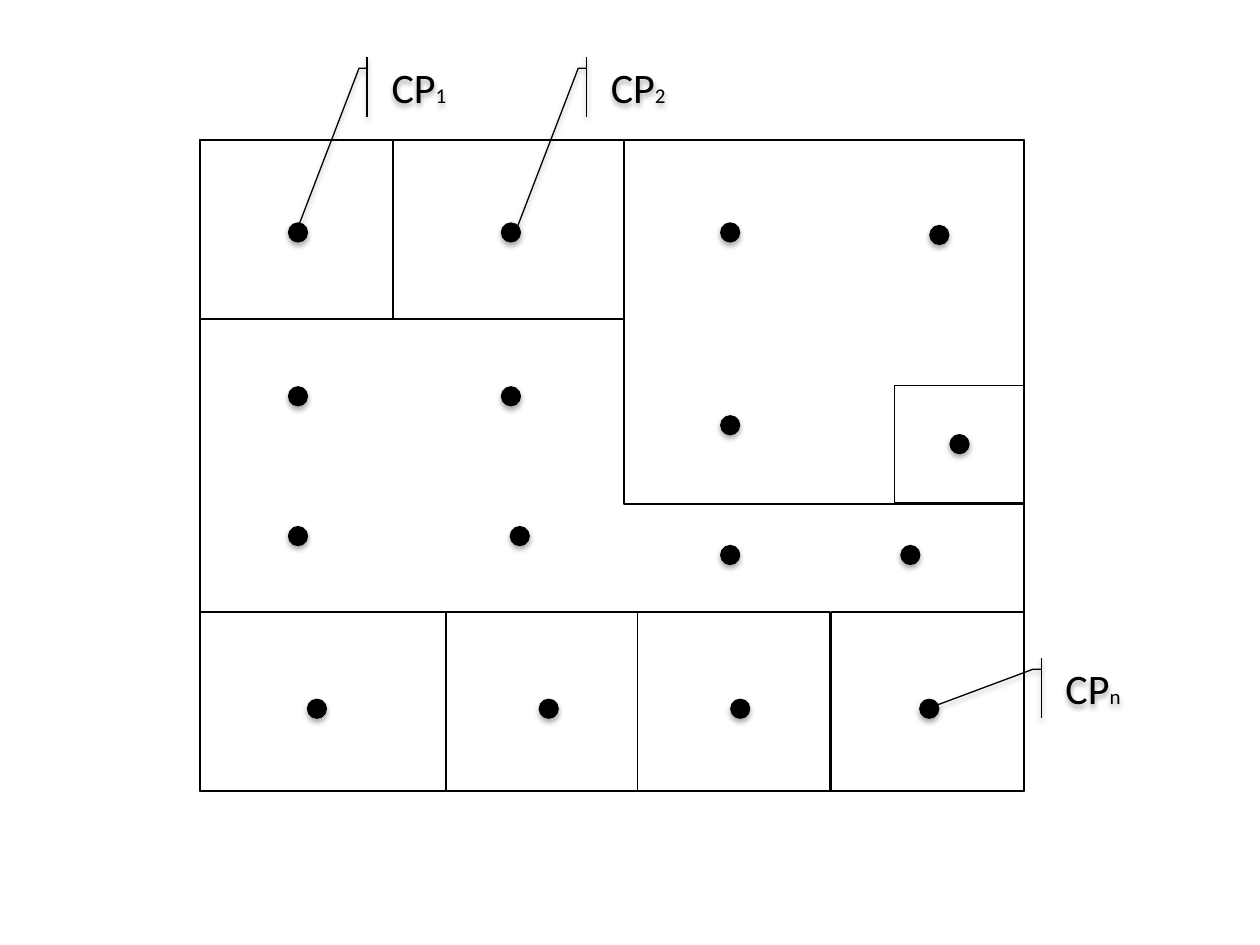
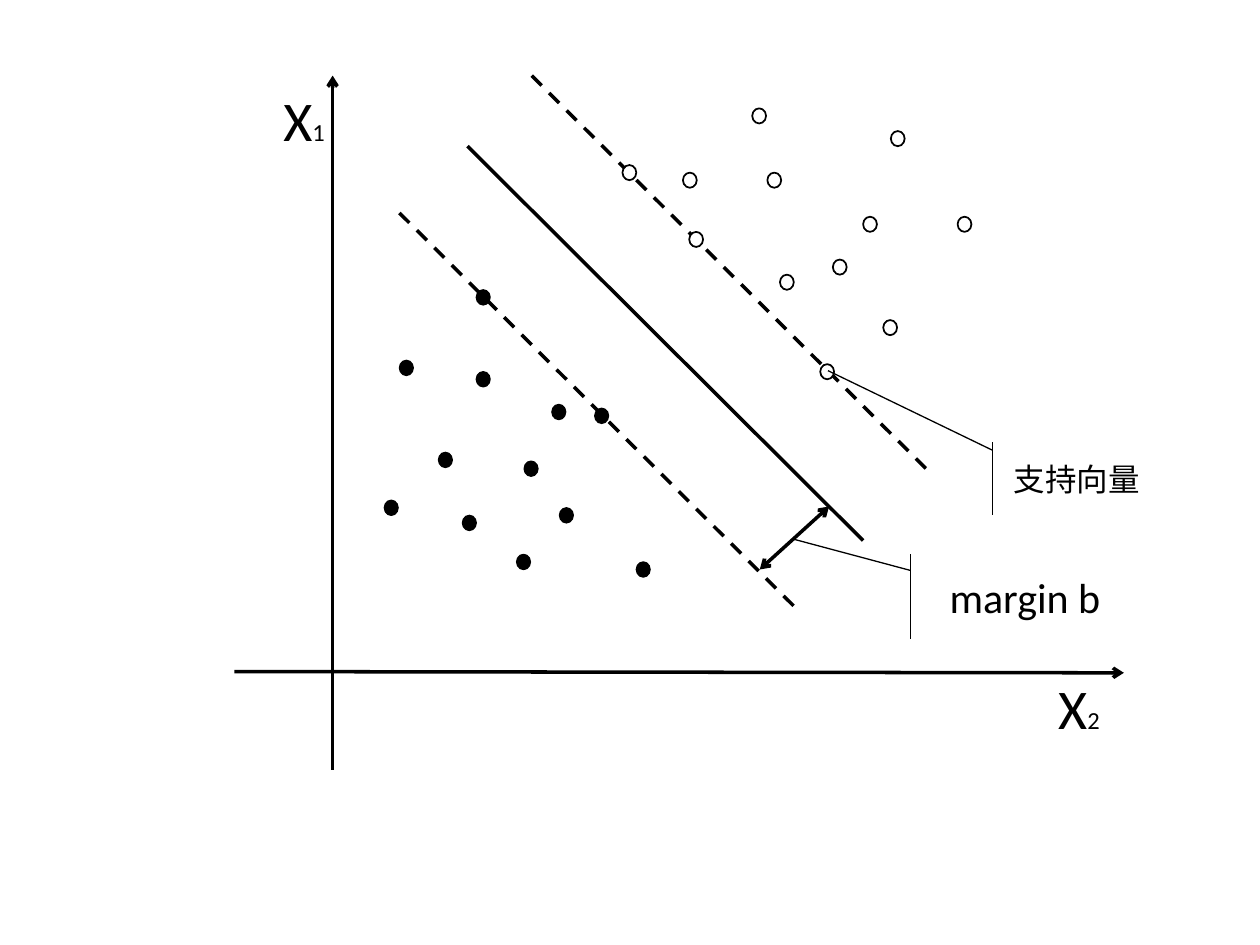
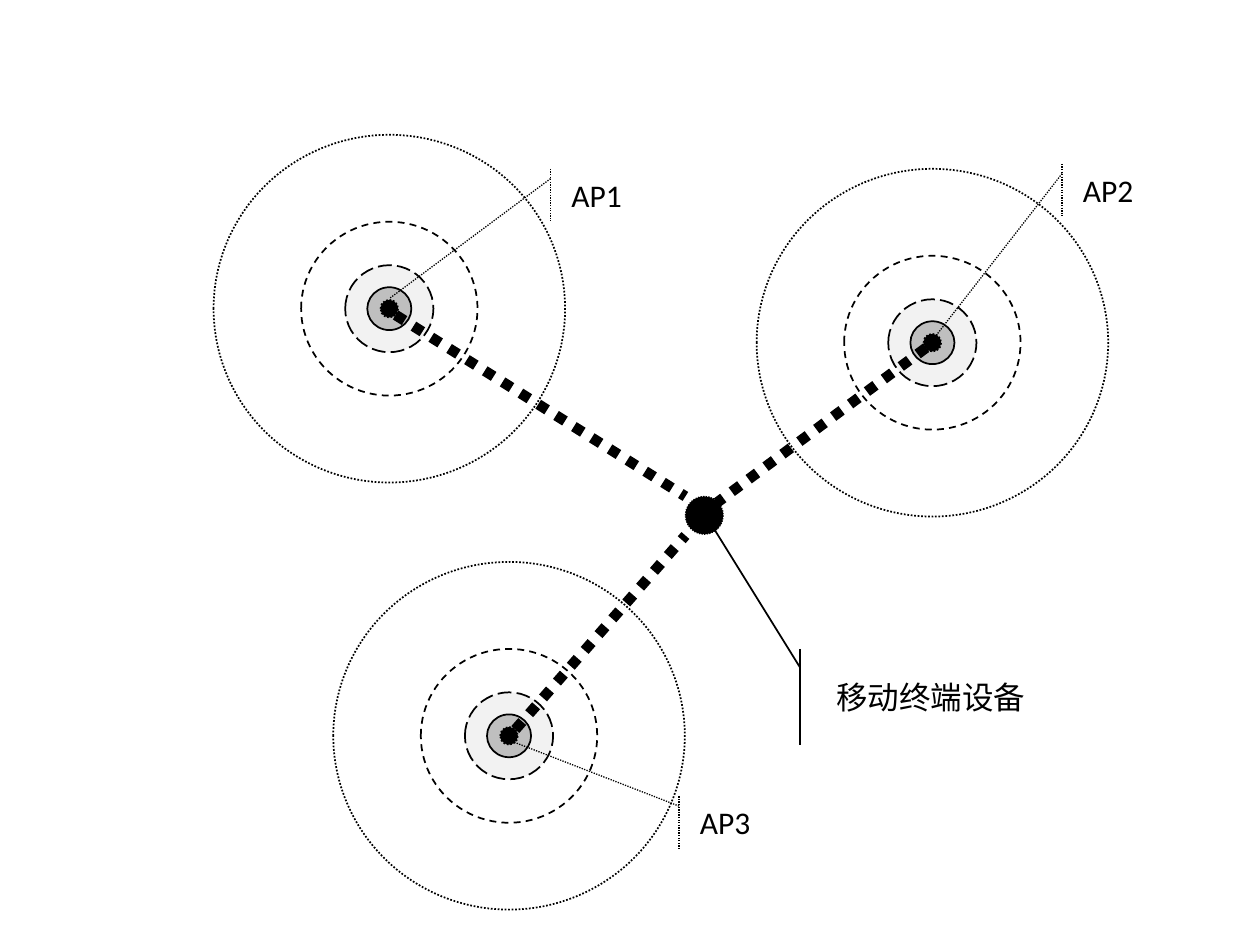
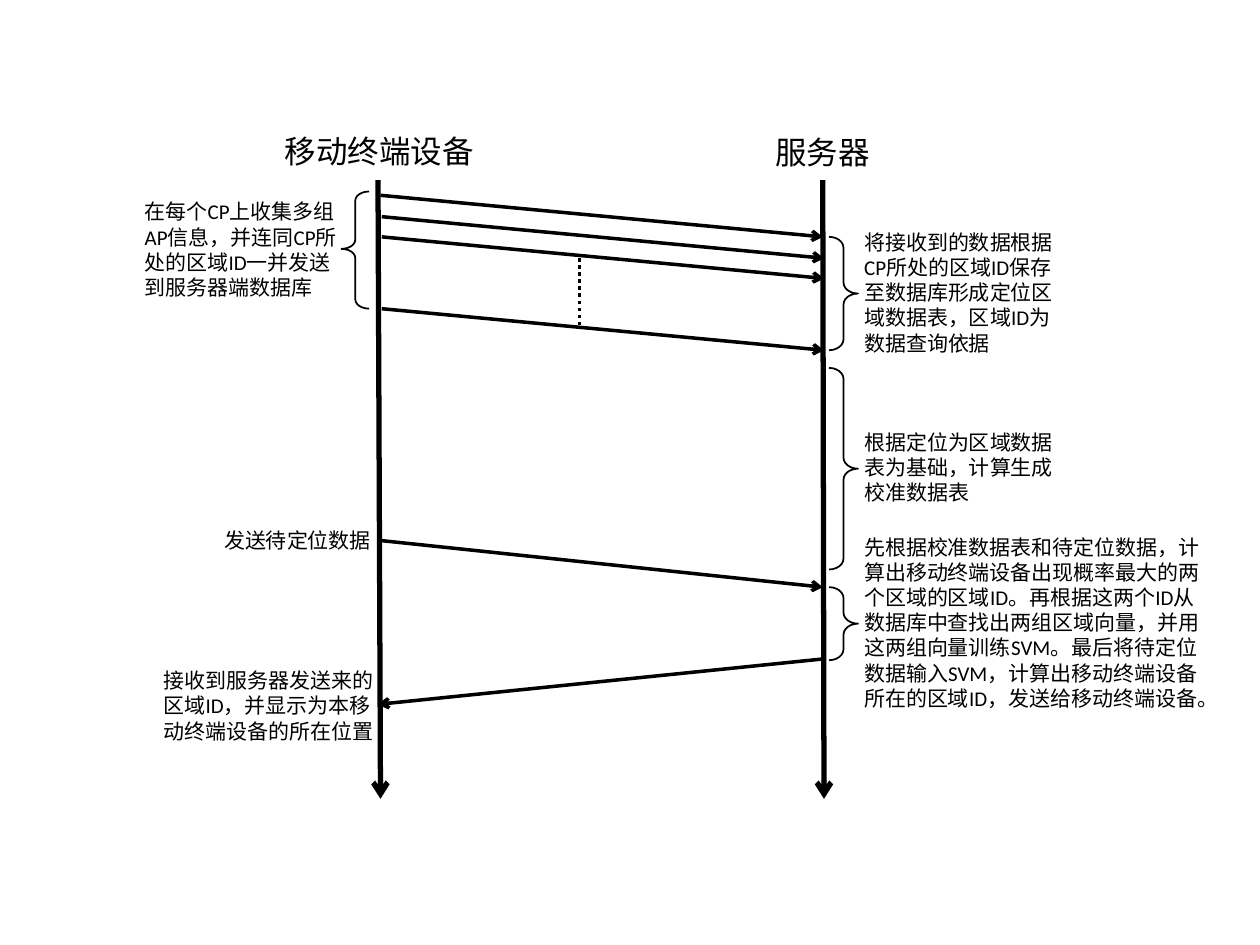
from lxml import etree
from pptx import Presentation
from pptx.dml.color import RGBColor
from pptx.enum.dml import MSO_LINE as DASH
from pptx.enum.shapes import MSO_CONNECTOR, MSO_SHAPE as SHAPE
from pptx.enum.text import MSO_ANCHOR, MSO_AUTO_SIZE, PP_ALIGN
from pptx.oxml import parse_xml
from pptx.oxml.ns import qn
from pptx.util import Inches, Pt

COLORS = {"ink": "000000", "paper": "FFFFFF", "pale": "F2F2F2", "gray": "BFBFBF"}
FONT = "Calibri"
SHADOW = (
    '<a:outerShdw xmlns:a="http://schemas.openxmlformats.org/drawingml/2006/main" '
    'blurRad="40000" dist="23000" dir="5400000" rotWithShape="0">'
    f'<a:srgbClr val="{COLORS["ink"]}"><a:alpha val="35000"/></a:srgbClr></a:outerShdw>'
)
INK = RGBColor.from_string(COLORS["ink"])

deck = Presentation()
deck.slide_width, deck.slide_height = Inches(10), Inches(7.5)
blank = deck.slide_layouts[6]


def add_box(page, kind, at, fill=None, width=1, dash=None, adjust=(), runs=(),
            align=PP_ALIGN.CENTER, shadow=False):
    place = [Inches(length) for length in at]
    if kind is None:
        box = page.shapes.add_textbox(*place)
        box.text_frame.auto_size = MSO_AUTO_SIZE.SHAPE_TO_FIT_TEXT
    else:
        box = page.shapes.add_shape(kind, *place)
        box.shadow.inherit = False
        if shadow:
            box._element.spPr.find(qn("a:effectLst")).append(parse_xml(SHADOW))
        if fill:
            box.fill.solid()
            box.fill.fore_color.rgb = RGBColor.from_string(COLORS[fill])
        else:
            box.fill.background()
        box.line.color.rgb = INK
        box.line.width = Pt(width)
        if dash:
            box.line.dash_style = dash
        for index, value in enumerate(adjust):
            box.adjustments[index] = value
        box.text_frame.vertical_anchor = MSO_ANCHOR.MIDDLE
    if runs:
        box.text_frame.word_wrap = True
        para = box.text_frame.paragraphs[0]
        para.alignment = align
        para.font.name = FONT
        para.font.color.rgb = INK
        for text, size in runs:
            span = para.add_run()
            span.text = text
            span.font.size = Pt(size)


def add_line(page, start, end, width=2, dash=None, ends=()):
    line = page.shapes.add_connector(
        MSO_CONNECTOR.STRAIGHT, *[Inches(length) for length in (*start, *end)])
    line.line.color.rgb = INK
    line.line.width = Pt(width)
    if dash:
        line.line.dash_style = dash
    properties = line._element.spPr
    for tag in ends:
        etree.SubElement(properties.find(qn("a:ln")), qn(f"a:{tag}"), type="arrow")
    etree.SubElement(properties, qn("a:effectLst"))


page = deck.slides.add_slide(blank)
add_box(page, SHAPE.RECTANGLE, (1.59, 1.11, 6.54, 5.17))
rooms = [
    (1.59, 1.11, 1.53, 1.42), (4.95, 1.11, 3.18, 2.89), (7.1, 3.06, 1.03, 0.93),
    (6.6, 4.86, 1.53, 1.42), (5.06, 4.86, 1.53, 1.42), (3.53, 4.86, 1.53, 1.42),
    (1.59, 4.86, 1.95, 1.42), (3.12, 1.11, 1.83, 1.42),
]
for room in rooms:
    add_box(page, SHAPE.RECTANGLE, room, "paper")
point_rows = {
    1.77: (2.29, 3.98, 5.72), 1.79: (7.38,), 3.07: (2.29, 3.98), 3.3: (5.72,),
    3.45: (7.54,), 4.18: (2.29, 4.05), 4.33: (5.72, 7.15),
    5.55: (2.44, 4.28, 5.8, 7.3),
}
for top, lefts in point_rows.items():
    for left in lefts:
        add_box(page, SHAPE.OVAL, (left, top, 0.15, 0.15), "ink", 0.75, shadow=True)
for left, top, number, tip in [
    (2.97, 0.45, "1", (2.85, -0.86)),
    (4.71, 0.45, "2", (2.85, -0.86)),
    (8.32, 5.22, "n", (0.83, -1.33)),
]:
    add_box(page, SHAPE.LINE_CALLOUT_2_ACCENT_BAR, (left, top, 0.71, 0.48), width=0.75,
            adjust=(0.19, -0.08, 0.19, -0.17, *tip), runs=[("CP", 24), (number, 12)],
            shadow=True)

page = deck.slides.add_slide(blank)
add_line(page, (1.86, 5.33), (8.92, 5.34), ends=["tailEnd"])
add_line(page, (2.64, 6.11), (2.64, 0.6), ends=["tailEnd"])
for left, top, dash in [(4.22, 0.6, DASH.DASH), (3.71, 1.16, None), (3.17, 1.69, DASH.DASH)]:
    add_line(page, (left, top), (left + 3.14, top + 3.13), dash=dash)
solid_dots = [
    (3.17, 2.86), (3.78, 2.95), (3.78, 2.3), (3.05, 3.97), (3.48, 3.59), (4.72, 3.24),
    (3.67, 4.09), (4.16, 3.66), (4.1, 4.4), (4.44, 4.03), (4.38, 3.21), (5.05, 4.46),
]
hollow_dots = [
    (6.51, 2.89), (5.47, 1.84), (5.42, 1.37), (4.94, 1.31), (6.61, 2.06), (6.19, 2.18),
    (6.09, 1.37), (6.85, 1.72), (7.07, 1.04), (7.01, 2.54), (5.97, 0.86), (7.6, 1.72),
]
for dots, fill, width in [(solid_dots, "ink", 0.75), (hollow_dots, "paper", 1)]:
    for left, top in dots:
        add_box(page, SHAPE.OVAL, (left, top, 0.11, 0.12), fill, width)
add_box(page, SHAPE.LINE_CALLOUT_1_ACCENT_BAR, (7.85, 3.51, 1.39, 0.58), width=0.75,
        adjust=(0.11, 0.02, -0.98, -0.92), runs=[("支持向量", 18)])
add_line(page, (6.03, 4.52), (6.58, 4.02), ends=["headEnd", "tailEnd"])
add_box(page, SHAPE.LINE_CALLOUT_1_ACCENT_BAR, (7.35, 4.4, 1.57, 0.67), width=0.75,
        adjust=(0.19, -0.08, -0.18, -0.67), runs=[("margin b", 24)])
for left, top, number in [(8.3, 5.3, "2"), (2.15, 0.63, "1")]:
    add_box(page, None, (left, top, 0.57, 0.64), runs=[("X", 32), (number, 14)],
            align=PP_ALIGN.LEFT)

page = deck.slides.add_slide(blank)
rings = [
    (2.79, 2.76, None, DASH.ROUND_DOT), (1.4, 1.38, None, DASH.DASH),
    (0.7, 0.69, "pale", DASH.LONG_DASH), (0.35, 0.34, "gray", None),
    (0.14, 0.14, "ink", DASH.ROUND_DOT),
]
for center_x, center_y in [(3.09, 2.45), (7.4, 2.72), (4.04, 5.84)]:
    for width, height, fill, dash in rings:
        add_box(page, SHAPE.OVAL,
                (center_x - width / 2, center_y - height / 2, width, height), fill, dash=dash)
add_box(page, SHAPE.OVAL, (5.44, 3.94, 0.3, 0.3), "ink", 0, DASH.ROUND_DOT)
for start, end in [
    ((3.14, 2.5), (5.44, 3.94)), ((4.09, 5.79), (5.44, 4.25)), ((7.35, 2.76), (5.69, 3.99)),
]:
    add_line(page, start, end, 6, DASH.ROUND_DOT)
add_box(page, SHAPE.LINE_CALLOUT_1_ACCENT_BAR, (6.49, 5.15, 1.79, 0.76),
        adjust=(0.19, -0.08, -1.33, -0.48), runs=[("移动终端设备", 18)])
for left, top, name, tip in [
    (4.42, 1.34, "AP1", (2.5, -2.1)),
    (8.48, 1.3, "AP2", (3.35, -1.68)),
    (5.44, 6.32, "AP3", (-1.08, -2.21)),
]:
    add_box(page, SHAPE.LINE_CALLOUT_1_ACCENT_BAR, (left, top, 0.63, 0.41), width=0,
            dash=DASH.ROUND_DOT, adjust=(0.19, -0.08, *tip), runs=[(name, 18)])

page = deck.slides.add_slide(blank)
for start, end in [((3, 1.43), (3.02, 6.34)), ((6.53, 1.43), (6.54, 6.34))]:
    add_line(page, start, end, 3, ends=["tailEnd"])
for at, name in [((2.15, 1, 1.72, 0.4), "移动终端设备"), ((6, 1.01, 1.06, 0.4), "服务器")]:
    add_box(page, None, at, runs=[(name, 18)])
for start, end in [
    ((3.02, 1.55), (6.53, 1.88)), ((3.03, 1.72), (6.54, 2.05)),
    ((3.03, 1.88), (6.54, 2.21)), ((3.03, 2.45), (6.54, 2.78)),
    ((3.02, 4.29), (6.53, 4.66)), ((6.53, 5.23), (3, 5.59)),
]:
    add_line(page, start, end, ends=["tailEnd"])
add_line(page, (4.6, 2.05), (4.6, 2.6), dash=DASH.ROUND_DOT)
add_box(page, SHAPE.LEFT_BRACE, (2.71, 1.52, 0.22, 0.93), adjust=(0.33, 0.49))
for top, height in [(1.88, 0.9), (2.92, 1.6), (4.66, 0.58)]:
    add_box(page, SHAPE.RIGHT_BRACE, (6.58, top, 0.23, height), adjust=(0.38, 0.5))
steps = [
    ((1.05, 1.53, 1.82, 0.91),
     "在每个CP上收集多组AP信息，并连同CP所处的区域ID一并发送到服务器端数据库"),
    ((6.76, 1.77, 1.75, 1.11),
     "将接收到的数据根据CP所处的区域ID保存至数据库形成定位区域数据表，区域ID为数据查询依据"),
    ((6.76, 3.36, 1.82, 0.71), "根据定位为区域数据表为基础，计算生成校准数据表"),
    ((1.68, 4.14, 1.41, 0.3), "发送待定位数据"),
    ((6.76, 4.19, 2.97, 1.51),
     "先根据校准数据表和待定位数据，计算出移动终端设备出现概率最大的两个区域的区域ID。"
     "再根据这两个ID从数据库中查找出两组区域向量，并用这两组向量训练SVM。"
     "最后将待定位数据输入SVM，计算出移动终端设备所在的区域ID，发送给移动终端设备。"),
    ((1.2, 5.25, 1.88, 0.71),
     "接收到服务器发送来的区域ID，并显示为本移动终端设备的所在位置"),
]
for at, text in steps:
    add_box(page, None, at, runs=[(text, 12)], align=PP_ALIGN.LEFT)

deck.save("out.pptx")
